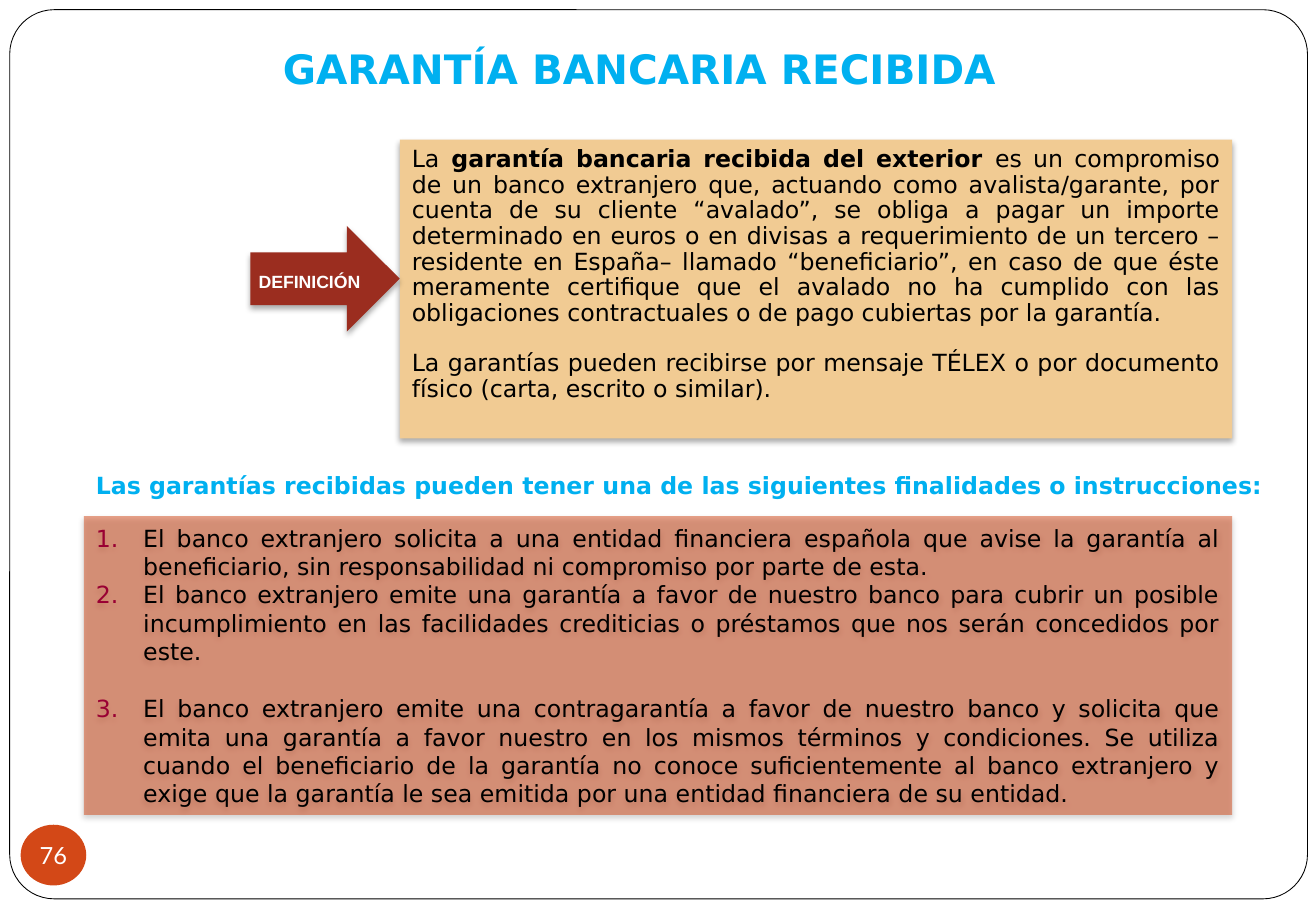
from dataclasses import dataclass

from lxml import etree
from pptx import Presentation
from pptx.dml.color import RGBColor
from pptx.enum.shapes import MSO_SHAPE
from pptx.enum.text import MSO_ANCHOR, PP_ALIGN
from pptx.oxml.ns import qn
from pptx.shapes.autoshape import Shape
from pptx.slide import Slide
from pptx.util import Inches, Pt

BLACK = RGBColor(0x00, 0x00, 0x00)
WHITE = RGBColor(0xFF, 0xFF, 0xFF)
SKY_BLUE = RGBColor(0x00, 0xB0, 0xF0)
SAND = RGBColor(0xF1, 0xCB, 0x93)
ORANGE = RGBColor(0xD3, 0x48, 0x17)
BRICK = RGBColor(0x9B, 0x2D, 0x1F)
CRIMSON = RGBColor(0x99, 0x00, 0x33)

LEFT, CENTER, JUSTIFY = PP_ALIGN.LEFT, PP_ALIGN.CENTER, PP_ALIGN.JUSTIFY
MIDDLE = MSO_ANCHOR.MIDDLE
RECTANGLE, ROUNDED = MSO_SHAPE.RECTANGLE, MSO_SHAPE.ROUNDED_RECTANGLE
ARROW, OVAL = MSO_SHAPE.RIGHT_ARROW, MSO_SHAPE.OVAL

BODY_FONT = "DejaVu Sans"
NUMBER_INDENT = Inches(0.39)


@dataclass(frozen=True)
class Box:
    left: float
    top: float
    width: float
    height: float

    def emu(self) -> list[int]:
        return [Inches(v) for v in (self.left, self.top, self.width, self.height)]


@dataclass(frozen=True)
class Style:
    size: float
    color: RGBColor
    bold: bool = False
    font: str = BODY_FONT


@dataclass(frozen=True)
class Paragraph:
    runs: tuple[tuple[str, Style], ...]
    align: PP_ALIGN = JUSTIFY
    line_spacing: float = 1.0
    space_before: float = 0
    numbered: bool = False


@dataclass(frozen=True)
class Label:
    box: Box
    text: str
    style: Style
    align: PP_ALIGN = LEFT


BODY = Style(14, BLACK)
BODY_BOLD = Style(14, BLACK, bold=True)

DEFINITION = (
    Paragraph((
        ("La", BODY),
        (" garantía bancaria recibida del exterior ", BODY_BOLD),
        ("es un compromiso de un banco extranjero que, actuando como avalista/garante, "
         "por cuenta de su cliente “avalado”, se obliga a pagar un importe determinado "
         "en euros o en divisas a requerimiento de un tercero –residente en España– "
         "llamado “beneficiario”, en caso de que éste meramente certifique que el "
         "avalado no ha cumplido con las obligaciones contractuales o de pago cubiertas "
         "por la garantía.", BODY),
    ), line_spacing=0.9),
    Paragraph((
        ("La garantías pueden recibirse por mensaje TÉLEX o por documento físico "
         "(carta, escrito o similar).", BODY),
    ), line_spacing=0.9, space_before=15),
)

PURPOSES = (
    Paragraph((
        ("El banco extranjero solicita a una entidad financiera española que avise la "
         "garantía al beneficiario, sin responsabilidad ni compromiso por parte de "
         "esta.", BODY),
    ), numbered=True),
    Paragraph((
        ("El banco extranjero emite una garantía a favor de nuestro banco para cubrir "
         "un posible incumplimiento en las facilidades crediticias o préstamos que nos "
         "serán concedidos por este.", BODY),
    ), numbered=True),
    Paragraph((
        ("El banco extranjero emite una contragarantía a favor de nuestro banco y "
         "solicita que emita una garantía a favor nuestro en los mismos términos y "
         "condiciones. Se utiliza cuando el beneficiario de la garantía no conoce "
         "suficientemente al banco extranjero y exige que la garantía le sea emitida "
         "por una entidad financiera de su entidad.", BODY),
    ), space_before=17, numbered=True),
)

LABELS = (
    Label(Box(2.23, 0.31, 6.37, 0.5), "GARANTÍA BANCARIA RECIBIDA",
          Style(24, SKY_BLUE, bold=True)),
    Label(Box(2.03, 2.18, 1.08, 0.41), "DEFINICIÓN",
          Style(10.5, WHITE, bold=True, font="Arial")),
    Label(Box(0.69, 3.83, 10, 0.34),
          "Las garantías recibidas pueden tener una de las siguientes finalidades "
          "o instrucciones:", Style(14, SKY_BLUE, bold=True), JUSTIFY),
)


def add_filled_shape(slide: Slide, kind: MSO_SHAPE, box: Box, color: RGBColor) -> Shape:
    shape = slide.shapes.add_shape(kind, *box.emu())
    shape.shadow.inherit = False
    shape.fill.solid()
    shape.fill.fore_color.rgb = color
    shape.line.fill.background()
    return shape


def add_drop_shadow(shape: Shape) -> None:
    effects = shape._element.spPr.find(qn("a:effectLst"))
    shadow = etree.SubElement(effects, qn("a:outerShdw"), blurRad=str(Pt(3.5)),
                              dist=str(Pt(2.2)), dir="5400000", rotWithShape="0")
    color = etree.SubElement(shadow, qn("a:srgbClr"), val=str(BLACK))
    etree.SubElement(color, qn("a:alpha"), val="32000")


def set_fill_opacity(shape: Shape, percent: int) -> None:
    color = shape._element.spPr.find(qn("a:solidFill")).find(qn("a:srgbClr"))
    etree.SubElement(color, qn("a:alpha"), val=str(percent * 1000))


def write(shape: Shape, paragraphs: tuple[Paragraph, ...]) -> None:
    frame = shape.text_frame
    frame.word_wrap = True
    for index, content in enumerate(paragraphs):
        paragraph = frame.add_paragraph() if index else frame.paragraphs[0]
        paragraph.alignment = content.align
        paragraph.line_spacing = content.line_spacing
        if content.space_before:
            paragraph.space_before = Pt(content.space_before)
        if content.numbered:
            props = paragraph._p.get_or_add_pPr()
            props.set("marL", str(NUMBER_INDENT))
            props.set("indent", str(-NUMBER_INDENT))
            number_color = etree.SubElement(props, qn("a:buClr"))
            etree.SubElement(number_color, qn("a:srgbClr"), val=str(CRIMSON))
            etree.SubElement(props, qn("a:buAutoNum"), type="arabicPeriod")
        for text, style in content.runs:
            run = paragraph.add_run()
            run.text = text
            run.font.size = Pt(style.size)
            run.font.name = style.font
            run.font.bold = style.bold
            run.font.color.rgb = style.color


def add_panel(slide: Slide, box: Box, color: RGBColor,
              paragraphs: tuple[Paragraph, ...]) -> Shape:
    panel = add_filled_shape(slide, RECTANGLE, box, color)
    add_drop_shadow(panel)
    panel.text_frame.vertical_anchor = MIDDLE
    write(panel, paragraphs)
    return panel


def add_label(slide: Slide, label: Label) -> None:
    text_box = slide.shapes.add_textbox(*label.box.emu())
    write(text_box, (Paragraph(((label.text, label.style),), label.align),))


def add_page_number(slide: Slide, number: str) -> None:
    badge = add_filled_shape(slide, OVAL, Box(0.17, 6.79, 0.54, 0.5), ORANGE)
    frame = badge.text_frame
    frame.margin_left = frame.margin_right = frame.margin_top = frame.margin_bottom = 0
    frame.vertical_anchor = MIDDLE
    write(badge, (Paragraph(((number, Style(14, WHITE, font="Lato")),), CENTER),))


def main() -> None:
    deck = Presentation()
    deck.slide_width, deck.slide_height = Inches(10.83), Inches(7.5)
    slide = deck.slides.add_slide(deck.slide_layouts[6])

    border = add_filled_shape(slide, ROUNDED, Box(0.08, 0.08, 10.68, 7.32), WHITE)
    border.adjustments[0] = 0.05
    border.line.color.rgb = BLACK
    border.line.width = Pt(0.5)

    definition = add_panel(slide, Box(3.29, 1.15, 6.85, 2.46), SAND, DEFINITION)
    definition.text_frame.margin_bottom = Inches(0.28)
    purposes = add_panel(slide, Box(0.69, 4.25, 9.45, 2.46), ORANGE, PURPOSES)
    set_fill_opacity(purposes, 50)

    arrow = add_filled_shape(slide, ARROW, Box(2.06, 1.86, 1.23, 0.87), BRICK)
    add_drop_shadow(arrow)
    for label in LABELS:
        add_label(slide, label)
    add_page_number(slide, "76")
    deck.save("out.pptx")


if __name__ == "__main__":
    main()
